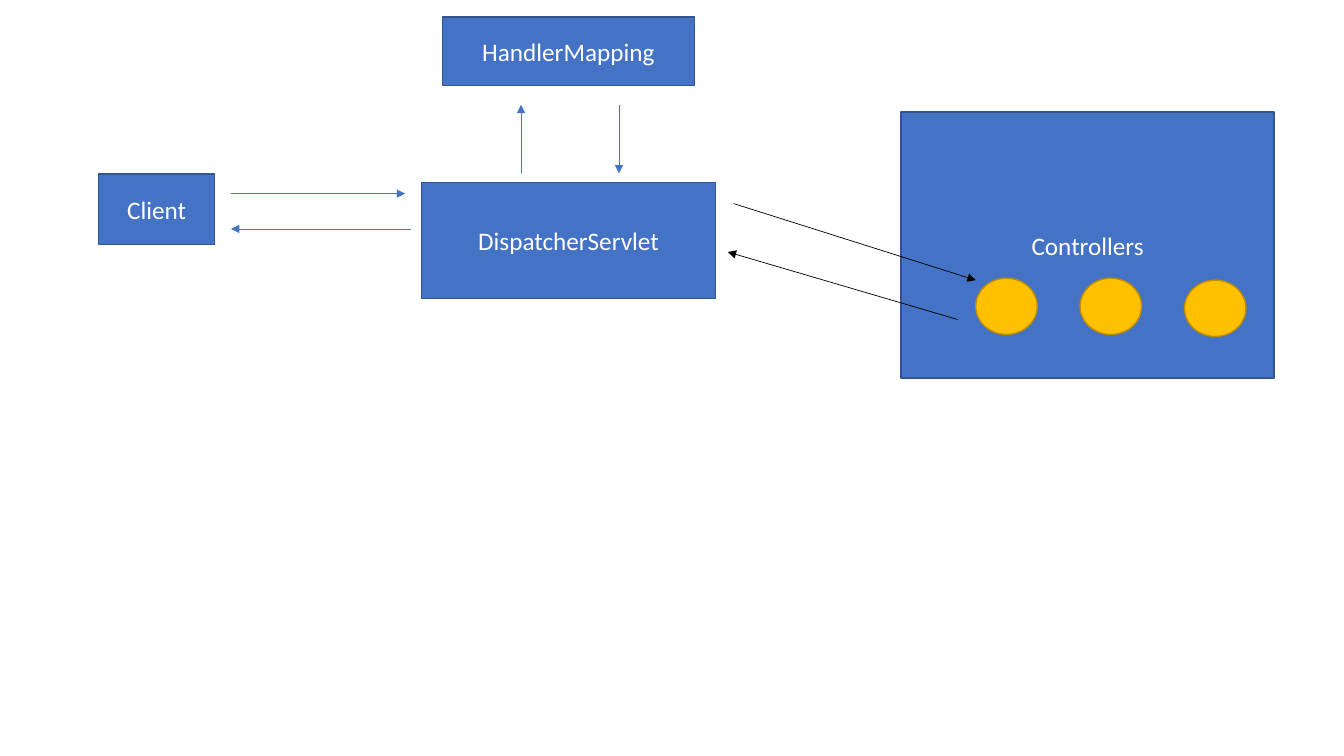
from dataclasses import dataclass

from lxml.etree import SubElement as Sub
from pptx import Presentation
from pptx.dml.color import RGBColor as Color
from pptx.enum.shapes import MSO_CONNECTOR as Conn, MSO_SHAPE as Kind
from pptx.enum.text import MSO_ANCHOR as Anchor, PP_ALIGN as Align
from pptx.oxml.ns import qn
from pptx.shapes.autoshape import Shape
from pptx.util import Cm, Pt

BLUE = Color(0x44, 0x72, 0xC4)
NAVY = Color(0x32, 0x54, 0x91)
GOLD = Color(0xFF, 0xC0, 0x00)
BROWN = Color(0xBD, 0x8E, 0x00)
BLACK = Color(0x00, 0x00, 0x00)
WHITE = Color(0xFF, 0xFF, 0xFF)
FONT = "Calibri"


@dataclass
class Box:
    label: str
    left: float
    top: float
    width: float
    height: float


@dataclass
class Arrow:
    x1: float
    y1: float
    x2: float
    y2: float
    color: Color = BLUE


# Parts of the request flow, in centimetres
BOXES = [
    Box("Client", 2.49, 4.39, 2.92, 1.78),
    Box("DispatcherServlet", 10.62, 4.6, 7.42, 2.92),
    Box("HandlerMapping", 11.15, 0.43, 6.35, 1.73),
    Box("Controllers", 22.71, 2.82, 9.4, 6.71),
]
DOT_LEFT, DOT_STEP = 24.59, 2.63
DOT_TOPS = (7.01, 7.01, 7.06)
DOTS = [Box("", DOT_LEFT + i * DOT_STEP, top, 1.55, 1.42)
        for i, top in enumerate(DOT_TOPS)]
ARROWS = [
    Arrow(5.82, 4.88, 10.21, 4.88),
    Arrow(10.36, 5.77, 5.82, 5.77),
    Arrow(13.13, 4.37, 13.13, 2.64),
    Arrow(15.6, 2.64, 15.6, 4.37),
    Arrow(18.49, 5.13, 24.59, 7.06, BLACK),
    Arrow(24.13, 8.05, 18.34, 6.35, BLACK),
]

deck = Presentation()
deck.slide_width, deck.slide_height = Cm(33.87), Cm(19.05)
slide = deck.slides.add_slide(deck.slide_layouts[6])


def draw_shape(box: Box, kind: Kind, fill: Color, edge: Color) -> Shape:
    shape = slide.shapes.add_shape(
        kind, Cm(box.left), Cm(box.top), Cm(box.width), Cm(box.height))
    shape.shadow.inherit = False
    shape.fill.solid()
    shape.fill.fore_color.rgb = fill
    shape.line.color.rgb = edge
    shape.line.width = Pt(1)
    return shape


def write_label(shape: Shape, label: str) -> None:
    frame = shape.text_frame
    frame.word_wrap = True
    frame.vertical_anchor = Anchor.MIDDLE
    para = frame.paragraphs[0]
    para.alignment = Align.CENTER
    run = para.add_run()
    run.text = label
    run.font.name = FONT
    run.font.size = Pt(18)
    run.font.color.rgb = WHITE


def draw_arrow(arrow: Arrow) -> None:
    line = slide.shapes.add_connector(
        Conn.STRAIGHT, Cm(arrow.x1), Cm(arrow.y1), Cm(arrow.x2), Cm(arrow.y2))
    line.line.color.rgb = arrow.color
    line.line.width = Pt(0.5)
    # Arrowhead at the end, and no shadow
    Sub(line.line._get_or_add_ln(), qn("a:tailEnd"), type="triangle")
    Sub(line._element.spPr, qn("a:effectLst"))


# Labelled boxes
for box in BOXES:
    write_label(draw_shape(box, Kind.RECTANGLE, BLUE, NAVY), box.label)

# Dots for the single controllers
for dot in DOTS:
    draw_shape(dot, Kind.OVAL, GOLD, BROWN)

# Calls and replies
for arrow in ARROWS:
    draw_arrow(arrow)

deck.save("out.pptx")
